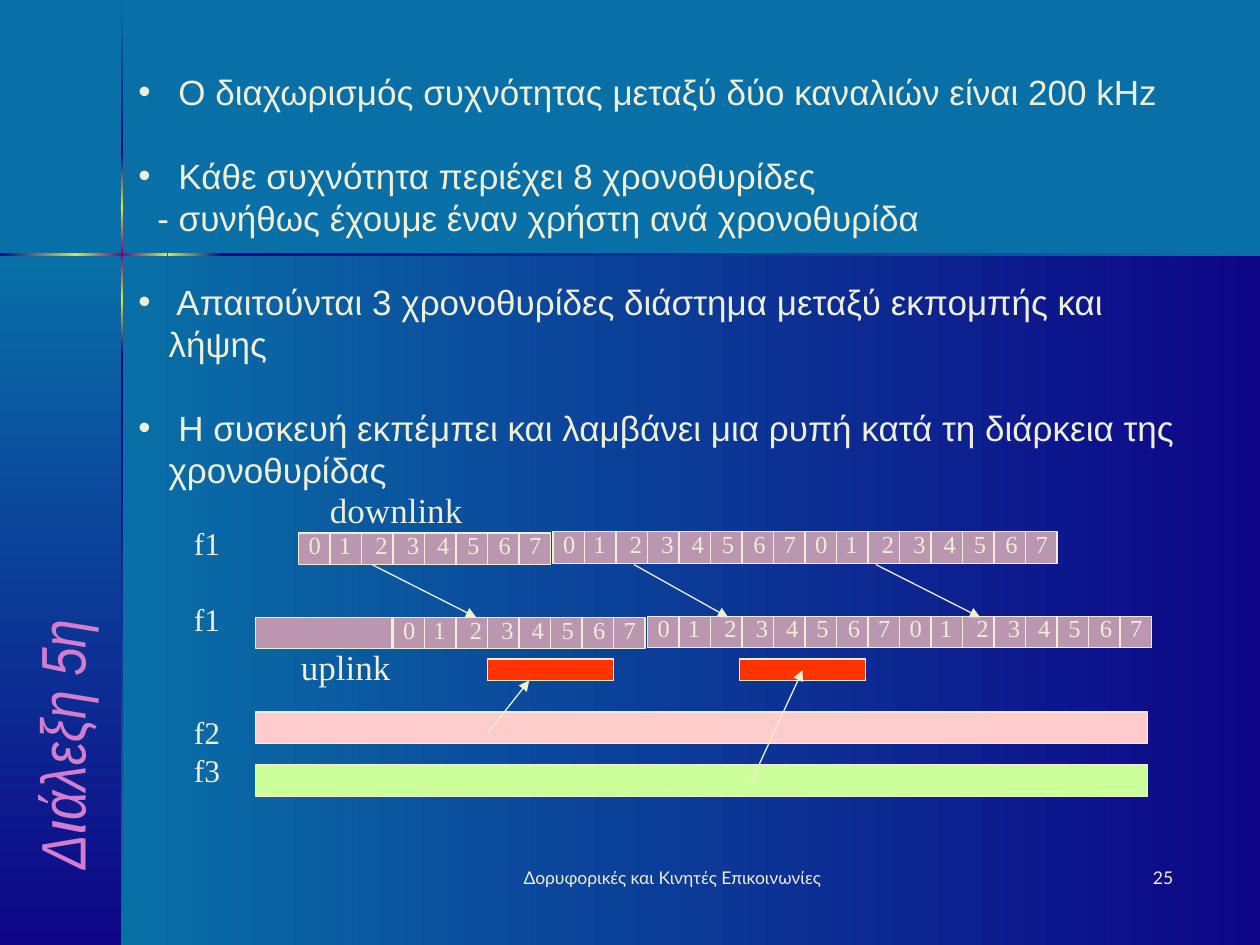
from dataclasses import dataclass

import pptx
import pptx.dml.color
import pptx.enum.shapes
import pptx.enum.text
import pptx.oxml
import pptx.oxml.ns
import pptx.util
from lxml import etree

Inches = pptx.util.Inches
Pt = pptx.util.Pt
RGBColor = pptx.dml.color.RGBColor
Align = pptx.enum.text.PP_ALIGN
Fit = pptx.enum.text.MSO_AUTO_SIZE
qn = pptx.oxml.ns.qn

NAVY = RGBColor(0x0E, 0x05, 0x87)
TEAL = RGBColor(0x09, 0x6F, 0xA7)
LIME = RGBColor(0xDE, 0xE6, 0x34)
PLUM = RGBColor(0x80, 0x00, 0x80)
CREAM = RGBColor(0xEE, 0xEF, 0xD3)
MAUVE = RGBColor(0xBA, 0x96, 0xB1)
PINK = RGBColor(0xFF, 0xCC, 0xCC)
GREEN = RGBColor(0xCC, 0xFF, 0x99)
RED = RGBColor(0xFF, 0x33, 0x00)
ORCHID = RGBColor(0xD3, 0x7D, 0xCD)

SERIF = "Times New Roman"
SLOT = 0.25
SLOTS = 8
STOPS = (0.24, 0.53, 0.78, 1.02, 1.26, 1.51, 1.75)


@dataclass
class Box:
    left: float
    top: float
    width: float
    height: float

    def place(self) -> tuple:
        return tuple(Inches(v) for v in (self.left, self.top, self.width, self.height))


@dataclass
class Panel:
    box: Box
    hues: tuple
    angle: int


@dataclass
class Line:
    text: str
    gap: float = 0  # space before, in lines
    bullet: bool = False
    margin: float = 0
    stops: tuple = ()


@dataclass
class Style:
    size: float
    face: str
    align: Align = Align.LEFT
    pitch: float = 1.2


def add_rect(slide, box: Box):
    shape = slide.shapes.add_shape(pptx.enum.shapes.MSO_SHAPE.RECTANGLE, *box.place())
    shape.shadow.inherit = False
    return shape


def add_panel(slide, panel: Panel) -> None:
    shape = add_rect(slide, panel.box)
    shape.line.fill.background()
    shape.fill.gradient()
    shape.fill.gradient_angle = 0
    grad = shape._element.spPr.find(qn("a:gradFill"))
    stops = grad.find(qn("a:gsLst"))
    for old in list(stops):
        stops.remove(old)
    for i, hue in enumerate(panel.hues):
        pos = 100000 * i // (len(panel.hues) - 1)
        stop = etree.SubElement(stops, qn("a:gs"), pos=str(pos))
        etree.SubElement(stop, qn("a:srgbClr"), val=str(hue))
    grad.find(qn("a:lin")).set("ang", str(panel.angle * 60000))


def add_bar(slide, box: Box, hue: RGBColor) -> None:
    shape = add_rect(slide, box)
    shape.fill.solid()
    shape.fill.fore_color.rgb = hue
    shape.line.color.rgb = CREAM
    shape.line.width = Pt(0.75)


def add_line(slide, x1: float, y1: float, x2: float, y2: float, arrow: bool = False) -> None:
    line = slide.shapes.add_connector(
        pptx.enum.shapes.MSO_CONNECTOR.STRAIGHT, *(Inches(v) for v in (x1, y1, x2, y2)))
    line.line.color.rgb = CREAM
    line.line.width = Pt(0.75)
    if arrow:
        etree.SubElement(line.line._get_or_add_ln(), qn("a:tailEnd"), type="triangle")
    etree.SubElement(line._element.spPr, qn("a:effectLst"))


def add_text(slide, box: Box, lines: list, style: Style, wrap: bool = True) -> None:
    frame = slide.shapes.add_textbox(*box.place()).text_frame
    frame.word_wrap = wrap
    frame.auto_size = Fit.NONE if wrap else Fit.SHAPE_TO_FIT_TEXT
    for i, item in enumerate(lines):
        para = frame.paragraphs[0] if i == 0 else frame.add_paragraph()
        para.text = item.text
        para.alignment = style.align
        para.line_spacing = Pt(style.size * style.pitch)
        if item.gap:
            para.space_before = Pt(style.size * style.pitch * item.gap)
        props = para._p.get_or_add_pPr()
        props.set("marL", str(Inches(item.margin)))
        if item.bullet:
            props.set("indent", str(-Inches(item.margin)))
            hue = etree.SubElement(props, qn("a:buClr"))
            etree.SubElement(hue, qn("a:srgbClr"), val=str(CREAM))
            etree.SubElement(props, qn("a:buFont"), typeface="Arial")
            etree.SubElement(props, qn("a:buChar"), char="•")
        if item.stops:
            tabs = etree.SubElement(props, qn("a:tabLst"))
            for pos in item.stops:
                etree.SubElement(tabs, qn("a:tab"), pos=str(Inches(pos)), algn="l")
        para.font.size = Pt(style.size)
        para.font.name = style.face
        para.font.color.rgb = CREAM


def add_frame(slide, left: float, top: float) -> None:
    """Draw one frame of eight numbered time slots."""
    add_bar(slide, Box(left, top, SLOT * SLOTS, 0.25), MAUVE)
    for i in range(1, SLOTS):
        x = left + i * SLOT
        add_line(slide, x, top, x, top + 0.25)
    digits = "\t".join(str(i) for i in range(SLOTS))
    add_text(slide, Box(left - 0.02, top - 0.07, 2.15, 0.34),
             [Line(digits, stops=STOPS)], Style(14, SERIF))


def main() -> None:
    deck = pptx.Presentation()
    deck.slide_width, deck.slide_height = Inches(10), Inches(7.5)
    slide = deck.slides.add_slide(deck.slide_layouts[5])
    slide.background.fill.solid()
    slide.background.fill.fore_color.rgb = TEAL

    # Backdrop panels and the glowing cross
    glow = (LIME, PLUM, LIME)
    for panel in (
        Panel(Box(0.97, 2.02, 9.03, 5.48), (NAVY, TEAL), 180),
        Panel(Box(0, 2.02, 0.97, 5.48), (TEAL, NAVY), 90),
        Panel(Box(0.96, 0.01, 0.02, 1.21), (TEAL, NAVY), 90),
        Panel(Box(0.96, 2.82, 0.02, 4.68), (NAVY, TEAL), 90),
        Panel(Box(1.77, 2.01, 8.23, 0.02), (TEAL, NAVY), 180),
        Panel(Box(0.96, 2.38, 0.02, 0.44), (LIME, NAVY), 90),
        Panel(Box(0.96, 1.21, 0.02, 0.44), (NAVY, LIME), 90),
        Panel(Box(0.96, 1.65, 0.02, 0.73), glow, 90),
        Panel(Box(0, 2.01, 0.61, 0.02), (LIME, NAVY), 180),
        Panel(Box(1.33, 2.01, 0.44, 0.02), (NAVY, LIME), 180),
        Panel(Box(0.6, 2.01, 0.73, 0.02), glow, 180),
    ):
        add_panel(slide, panel)

    # Bullet points
    add_text(slide, Box(1, 0.51, 8.6, 3.44), [
        Line(" Ο διαχωρισμός συχνότητας μεταξύ δύο καναλιών είναι 200 kHz", 0, True, 0.24),
        Line(" Κάθε συχνότητα περιέχει 8 χρονοθυρίδες", 1, True, 0.24),
        Line("- συνήθως έχουμε έναν χρήστη ανά χρονοθυρίδα", margin=0.15),
        Line(" Απαιτούνται 3 χρονοθυρίδες διάστημα μεταξύ εκπομπής και λήψης", 1, True, 0.24),
        Line(" Η συσκευή εκπέμπει και λαμβάνει μια ρυπή κατά τη διάρκεια της χρονοθυρίδας",
             1, True, 0.24),
    ], Style(20, "Arial"))

    # Downlink frames, and uplink frames three slots later
    for dx, dy in ((0, 0), (3 * SLOT, 0.67)):
        for left, top in ((2.37, 4.23), (4.39, 4.22), (6.39, 4.22)):
            add_frame(slide, left + dx, top + dy)
    add_bar(slide, Box(2.03, 4.9, 1.08, 0.25), MAUVE)
    for x1, x2 in ((2.95, 3.78), (5.03, 5.78), (6.95, 7.78)):
        add_line(slide, x1, 4.48, x2, 4.9, arrow=True)

    # Other carriers and bursts
    add_bar(slide, Box(2.03, 5.65, 7.08, 0.25), PINK)
    add_bar(slide, Box(2.03, 6.07, 7.08, 0.25), GREEN)
    for left in (3.87, 5.87):
        add_bar(slide, Box(left, 5.23, 1, 0.17), RED)
    add_line(slide, 3.87, 5.82, 4.2, 5.4, arrow=True)
    add_line(slide, 5.95, 6.23, 6.37, 5.32, arrow=True)

    # Labels
    add_text(slide, Box(2.52, 3.83, 1.25, 0.44), [Line("downlink")], Style(20, SERIF), False)
    add_text(slide, Box(2.29, 5.07, 0.91, 0.44), [Line("uplink")], Style(20, SERIF), False)
    add_text(slide, Box(1.44, 4.11, 0.41, 2.2),
             [Line("f1"), Line("f1", 1), Line("f2", 2), Line("f3")], Style(18, SERIF), False)

    # Sideways title, in front of the panels
    title = slide.shapes.title
    slide.shapes._spTree.append(title._element)
    title.left, title.top, title.width, title.height = Box(-1.42, 4.75, 3.83, 0.67).place()
    title.rotation = 270
    frame = title.text_frame
    frame.text = "Διάλεξη 5η"
    frame.word_wrap = True
    frame.auto_size = Fit.NONE
    frame.vertical_anchor = pptx.enum.text.MSO_ANCHOR.BOTTOM
    para = frame.paragraphs[0]
    para.alignment = Align.LEFT
    para.font.size = Pt(36)
    para.font.name = "Arial Narrow"
    para.font.italic = True
    para.font.color.rgb = ORCHID

    # Footer and page number
    add_text(slide, Box(3.75, 6.83, 3.17, 0.5),
             [Line("Δορυφορικές και Κινητές Επικοινωνίες")], Style(10, "Lato", Align.CENTER))
    add_text(slide, Box(7.33, 6.83, 2.08, 0.5), [Line("25")], Style(10, "Lato", Align.RIGHT))

    deck.save("out.pptx")


if __name__ == "__main__":
    main()
